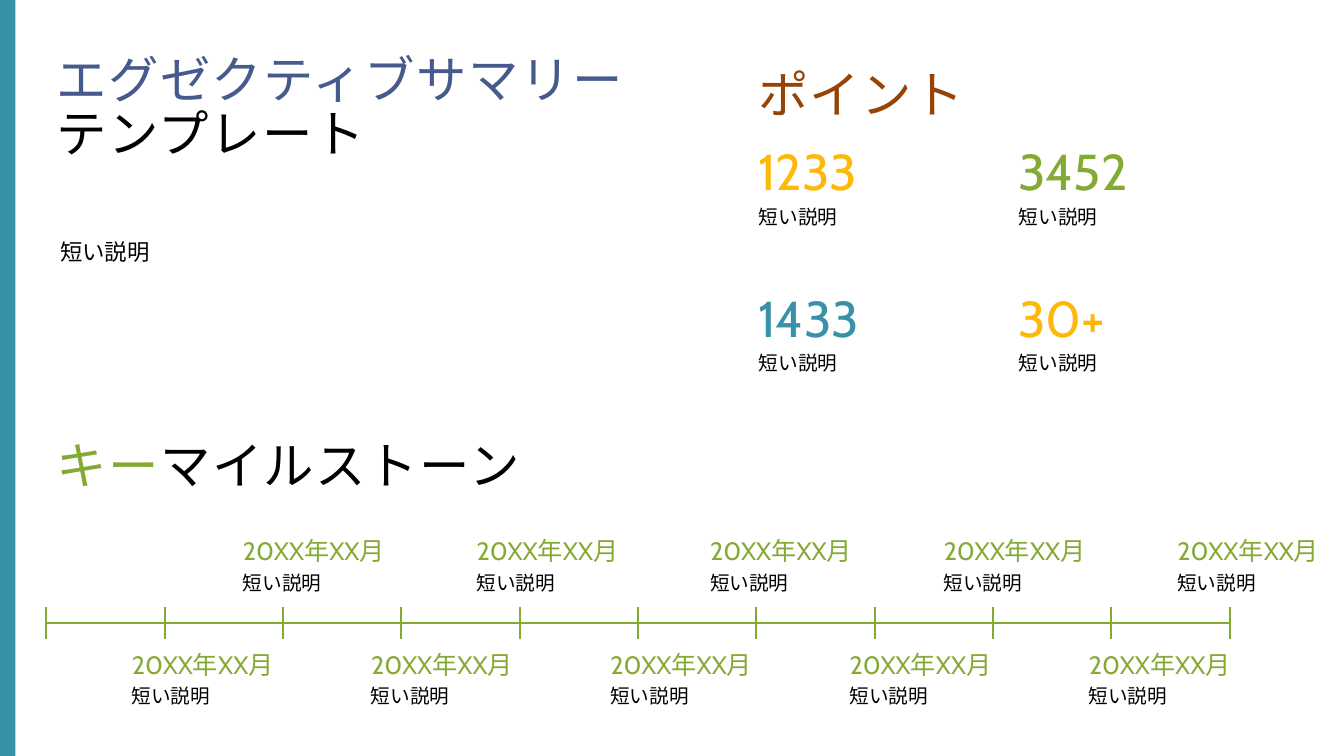
from dataclasses import dataclass

import pptx
import pptx.dml.color
import pptx.enum.lang
import pptx.enum.shapes
import pptx.enum.text
import pptx.oxml.ns
import pptx.shapes.autoshape
import pptx.slide
import pptx.util
from lxml import etree

BLUE = "475A8D"
BROWN = "964305"
YELLOW = "FEB80A"
GREEN = "84AA33"
TEAL = "3891A7"
BLACK = "000000"
HEADING = "Cabin"
BODY = "Roboto"
NOTE = "短い説明"
DATE = "20XX年XX月"
LEFT = 33.1
RIGHT = 878.4
AXIS_Y = 445
TICK = 23
INTERVALS = 10


@dataclass
class Run:
    text: str
    color: str
    break_before: bool = False


@dataclass
class Label:
    x: float
    y: float
    w: float
    h: float
    runs: list[Run]
    size: float
    font: str = HEADING
    line_spacing: float = 1.0
    tracking: int = 0
    fit: bool = True
    rounded: bool = False


@dataclass
class Metric:
    value: str
    color: str
    x: float
    y: float


@dataclass
class MilestoneRow:
    x: float
    y: float
    step: float


def rgb(color: str) -> pptx.dml.color.RGBColor:
    return pptx.dml.color.RGBColor.from_string(color)


def add_box(s: pptx.slide.Slide, label: Label) -> pptx.shapes.autoshape.Shape:
    box = [pptx.util.Pt(v) for v in (label.x, label.y, label.w, label.h)]
    if not label.rounded:
        return s.shapes.add_textbox(*box)
    sp = s.shapes.add_shape(pptx.enum.shapes.MSO_SHAPE.ROUNDED_RECTANGLE, *box)
    sp.adjustments[0] = 0.08
    sp.shadow.inherit = False
    sp.fill.background()
    sp.line.fill.background()
    return sp


def add_label(s: pptx.slide.Slide, label: Label) -> None:
    tf = add_box(s, label).text_frame
    tf.word_wrap = True
    tf.vertical_anchor = pptx.enum.text.MSO_ANCHOR.TOP
    sizing = pptx.enum.text.MSO_AUTO_SIZE
    tf.auto_size = sizing.SHAPE_TO_FIT_TEXT if label.fit else sizing.NONE
    p = tf.paragraphs[0]
    p.alignment = pptx.enum.text.PP_ALIGN.LEFT
    p.line_spacing = label.line_spacing
    for run in label.runs:
        if run.break_before:
            p.add_line_break()
        r = p.add_run()
        r.text = run.text
        r.font.size = pptx.util.Pt(label.size)
        r.font.name = label.font
        r.font.color.rgb = rgb(run.color)
        r.font.language_id = pptx.enum.lang.MSO_LANGUAGE_ID.JAPANESE
        rPr = r.font._element
        if label.tracking:
            rPr.set("spc", str(label.tracking))
        ea = etree.SubElement(rPr, pptx.oxml.ns.qn("a:ea"))
        ea.set("typeface", label.font)


def add_heading(s: pptx.slide.Slide, x: float, y: float, w: float, h: float,
                runs: list[Run]) -> None:
    add_label(s, Label(x, y, w, h, runs, 36, line_spacing=0.9, tracking=110))


def add_note(s: pptx.slide.Slide, x: float, y: float) -> None:
    add_label(s, Label(x, y, 198.5, 25.2, [Run(NOTE, BLACK)], 14, BODY, rounded=True))


def add_metric(s: pptx.slide.Slide, metric: Metric) -> None:
    value = [Run(metric.value, metric.color)]
    add_label(s, Label(metric.x, metric.y, 103, 46, value, 36, line_spacing=0.9))
    add_note(s, metric.x, metric.y + 40.3)


def add_milestones(s: pptx.slide.Slide, row: MilestoneRow) -> None:
    for i in range(5):
        x = row.x + i * row.step
        date = [Run(DATE, GREEN)]
        add_label(s, Label(x, row.y, 198.5, 30.2, date, 18, rounded=True))
        add_note(s, x, row.y + 25.2)


def add_line(s: pptx.slide.Slide, x1: float, y1: float, x2: float, y2: float) -> None:
    ends = (pptx.util.Pt(v) for v in (x1, y1, x2, y2))
    line = s.shapes.add_connector(pptx.enum.shapes.MSO_CONNECTOR.STRAIGHT, *ends)
    line.line.color.rgb = rgb(GREEN)
    line.line.width = pptx.util.Pt(1.5)
    etree.SubElement(line._element.spPr, pptx.oxml.ns.qn("a:effectLst"))


def add_timeline(s: pptx.slide.Slide) -> None:
    add_line(s, LEFT, AXIS_Y, RIGHT, AXIS_Y)
    for i in range(INTERVALS + 1):
        x = LEFT + i * (RIGHT - LEFT) / INTERVALS
        add_line(s, x, AXIS_Y - TICK / 2, x, AXIS_Y + TICK / 2)


def add_side_bar(s: pptx.slide.Slide) -> None:
    box = (pptx.util.Pt(v) for v in (0, -1.2, 11, 542))
    sp = s.shapes.add_shape(pptx.enum.shapes.MSO_SHAPE.RECTANGLE, *box)
    sp.shadow.inherit = False
    sp.fill.solid()
    sp.fill.fore_color.rgb = rgb(TEAL)
    sp.line.fill.background()


def main() -> None:
    prs = pptx.Presentation()
    prs.slide_width = pptx.util.Pt(960)
    prs.slide_height = pptx.util.Pt(540)
    s = prs.slides.add_slide(prs.slide_layouts[6])

    add_heading(s, LEFT, 35.5, 504, 85, [
        Run("エグゼクティブサマリー", BLUE),
        Run("テンプレート", BLACK, break_before=True),
    ])
    add_label(s, Label(LEFT, 163.4, 417, 123, [Run(NOTE, BLACK)], 16, BODY,
                       fit=False, rounded=True))

    add_heading(s, 534.4, 46.4, 386, 46, [Run("ポイント", BROWN)])
    for metric in (
        Metric("1233", YELLOW, 534.4, 101.8),
        Metric("3452", GREEN, 720.2, 101.8),
        Metric("1433", TEAL, 534.4, 206.2),
        Metric("30+", YELLOW, 720.2, 206.2),
    ):
        add_metric(s, metric)

    add_heading(s, LEFT, 311.8, 386.6, 46, [
        Run("キー", GREEN),
        Run("マイルストーン", BLACK),
    ])
    add_timeline(s)
    for row in (MilestoneRow(165.8, 378.2, 166.86), MilestoneRow(86.4, 459.5, 170.9)):
        add_milestones(s, row)

    add_side_bar(s)
    prs.save("out.pptx")


if __name__ == "__main__":
    main()
